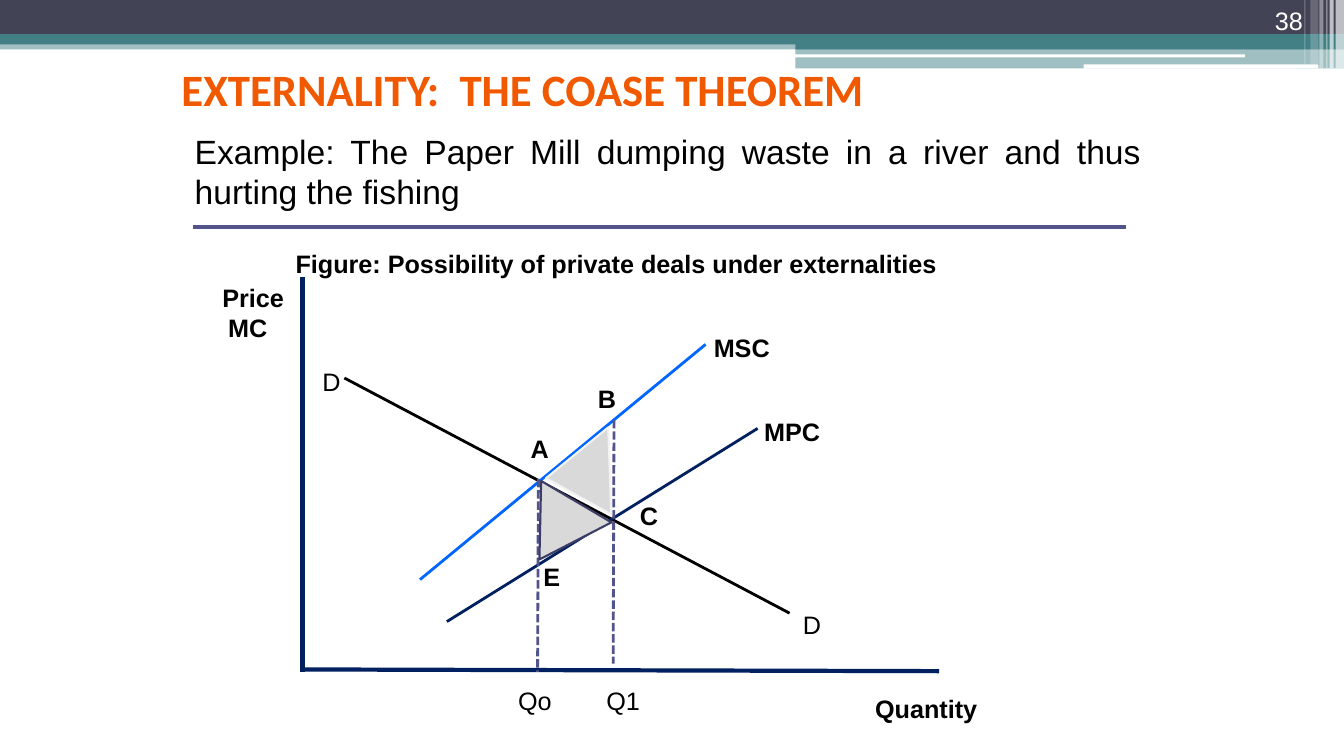
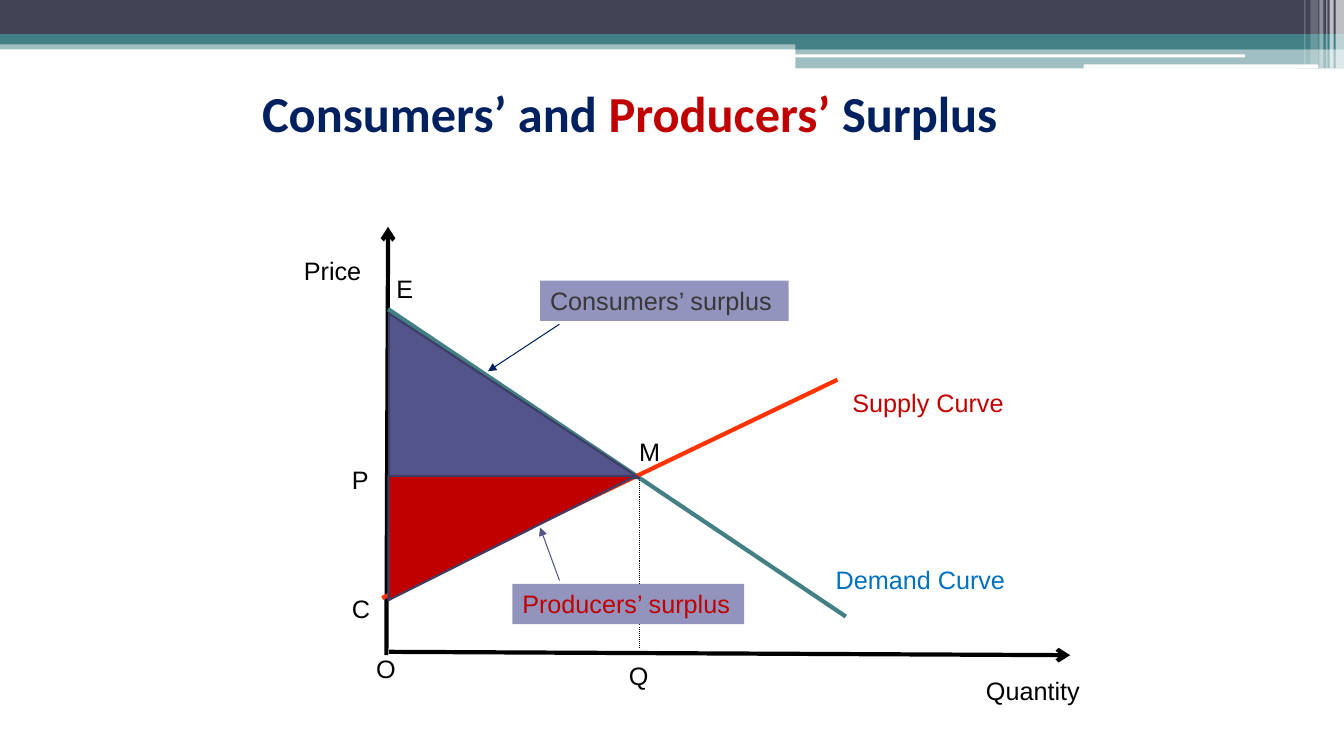
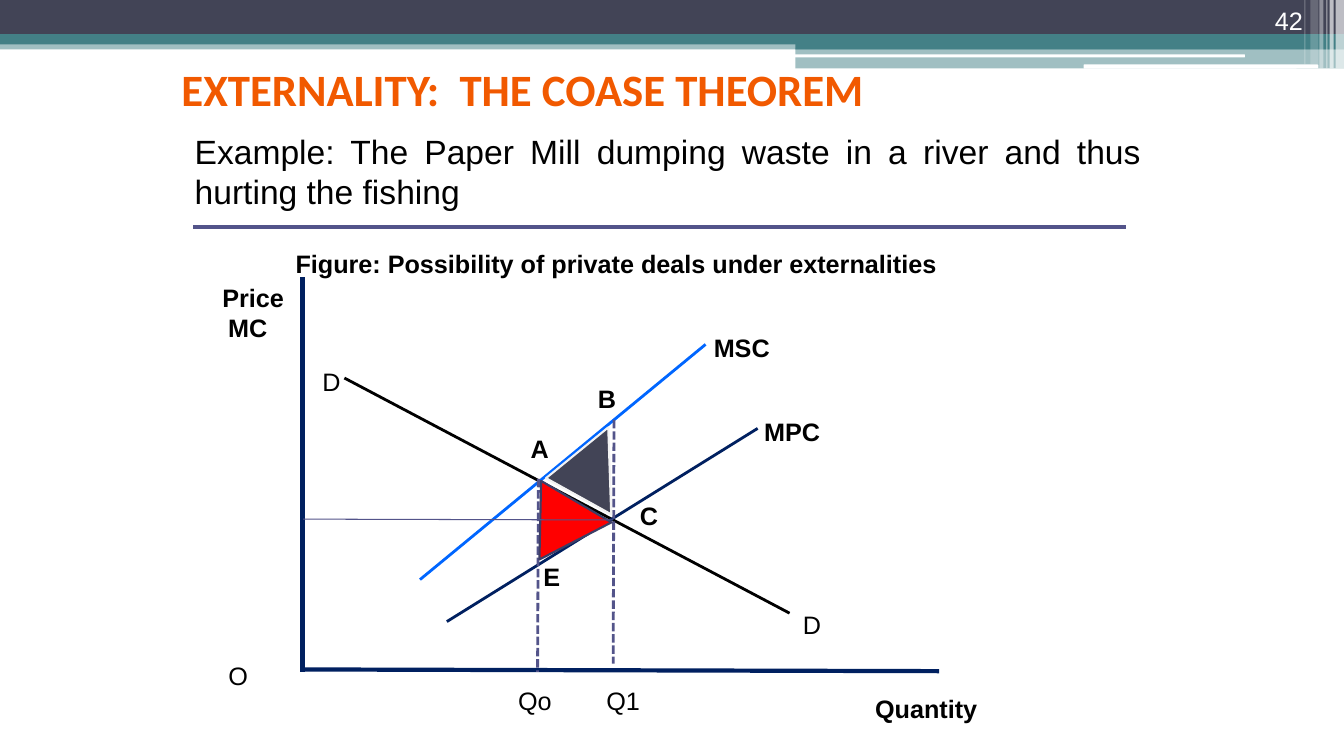
import lxml.etree
import pptx
import pptx.dml.color
import pptx.enum.dml
import pptx.enum.shapes
import pptx.enum.text
import pptx.oxml.ns
import pptx.util

RGBColor = pptx.dml.color.RGBColor
PRESET = pptx.enum.shapes.MSO_SHAPE
ALIGN = pptx.enum.text.PP_ALIGN
ANCHOR = pptx.enum.text.MSO_ANCHOR
DASH = pptx.enum.dml.MSO_LINE
qn = pptx.oxml.ns.qn

# Grid: 160 columns by 90 rows of square cells, twelve to the inch
COLUMNS, ROWS = 160, 90
CELL = pptx.util.Inches(1 / 12)
LABEL_ROWS = 4.8

WHITE = RGBColor(0xFF, 0xFF, 0xFF)
BLACK = RGBColor(0x00, 0x00, 0x00)
SLATE = RGBColor(0x42, 0x44, 0x56)
TEAL = RGBColor(0x43, 0x80, 0x86)
INDIGO = RGBColor(0x53, 0x54, 0x8A)
DARK_INDIGO = RGBColor(0x3D, 0x3E, 0x66)
LILAC = RGBColor(0x93, 0x94, 0xBE)
NAVY = RGBColor(0x00, 0x20, 0x60)
BLUE = RGBColor(0x00, 0x66, 0xFF)
SKY = RGBColor(0x00, 0x70, 0xC0)
ORANGE = RGBColor(0xF1, 0x59, 0x00)
VERMILION = RGBColor(0xFF, 0x33, 0x00)
CRIMSON = RGBColor(0xC0, 0x00, 0x00)
RED = RGBColor(0xFF, 0x00, 0x00)
CHARCOAL = RGBColor(0x38, 0x38, 0x38)
GREY = RGBColor(0xD9, 0xD9, 0xD9)
PALE = RGBColor(0xF2, 0xF2, 0xF2)


def write(slide, text, cells, holder=None, font="Arial", size=18, colour=BLACK,
          bold=False, align=ALIGN.LEFT, anchor=ANCHOR.TOP):
    """Write a string, or (string, colour) pieces, into holder or a new text box."""
    holder = holder or slide.shapes.add_textbox(0, 0, 0, 0)
    holder.left, holder.top, holder.width, holder.height = [int(n * CELL) for n in cells]
    frame = holder.text_frame
    frame.word_wrap = True
    frame.auto_size = pptx.enum.text.MSO_AUTO_SIZE.NONE
    frame.vertical_anchor = anchor
    paragraph = frame.paragraphs[0]
    for words, tint in [(text, colour)] if isinstance(text, str) else text:
        for number, line in enumerate(words.split("\n")):
            if number:
                paragraph = frame.add_paragraph()
            paragraph.alignment = align
            run = paragraph.add_run()
            run.text = line
            run.font.name = font
            run.font.size = pptx.util.Pt(size)
            run.font.bold = bold
            run.font.color.rgb = tint
    return frame


def draw_line(slide, ends, colour, width, dash=None, arrow=None):
    """Draw a straight line between two grid points, with an arrowhead at its end."""
    line = slide.shapes.add_connector(
        pptx.enum.shapes.MSO_CONNECTOR.STRAIGHT, *[int(n * CELL) for n in ends])
    line.line.color.rgb = colour
    line.line.width = pptx.util.Pt(width)
    if dash:
        line.line.dash_style = dash
    properties = line.element.spPr
    if arrow:
        lxml.etree.SubElement(properties.find(qn("a:ln")), qn("a:tailEnd"), type=arrow)
    lxml.etree.SubElement(properties, qn("a:effectLst"))


prs = pptx.Presentation()
prs.slide_width, prs.slide_height = COLUMNS * CELL, ROWS * CELL
title_only = prs.slide_layouts[5]
deals, surplus, gains = [prs.slides.add_slide(title_only) for _ in range(3)]

# Bands and stripes at the top, kept on the slide master
bands = [
    (0, 4.8, 160, 1.08, PRESET.RECTANGLE, TEAL, 50),
    (0, 0, 160, 4.08, PRESET.RECTANGLE, SLATE, 100),
    (0, 4.08, 160, 1.2, PRESET.RECTANGLE, TEAL, 100),
    (94.68, 4.68, 65.32, 1.2, PRESET.RECTANGLE, TEAL, 100),
    (94.68, 5.76, 65.32, 2.4, PRESET.RECTANGLE, TEAL, 50),
    (94.56, 6.48, 53.64, 0.36, PRESET.ROUNDED_RECTANGLE, WHITE, 100),
    (129, 7.68, 27.96, 0.48, PRESET.ROUNDED_RECTANGLE, WHITE, 100),
]
for left, width, height, opacity in [
    (159, 1, 8.16, 65), (158.28, 0.48, 8.16, 65), (157.92, 0.12, 8.16, 60),
    (157.08, 0.48, 8.16, 40), (156, 0.96, 7.68, 20), (155.28, 0.12, 7.68, 30),
]:
    bands.append((left, 0, width, height, PRESET.RECTANGLE, WHITE, opacity))
for number, (*cells, preset, colour, opacity) in enumerate(bands):
    band = deals.shapes.add_shape(preset, *[int(n * CELL) for n in cells])
    band.shadow.inherit = False
    band.fill.solid()
    band.fill.fore_color.rgb = colour
    band.line.fill.background()
    if opacity < 100:
        solid = band.element.spPr.find(".//" + qn("a:srgbClr"))
        lxml.etree.SubElement(solid, qn("a:alpha"), val=str(opacity * 1000))
    band.element.nvSpPr.cNvPr.set("id", str(20 + number))
    prs.slide_master.shapes.element.append(band.element)

# The two Coase theorem slides differ in page number and triangle fills
for slide, page, loss_fill, gain_fill in [
    (deals, "38", GREY, GREY), (gains, "42", SLATE, RED),
]:
    write(slide, page, (143, 0, 13.3, LABEL_ROWS), colour=WHITE,
          align=ALIGN.RIGHT, anchor=ANCHOR.BOTTOM)
    write(slide, "EXTERNALITY:  THE COASE THEOREM", (20.4, 6.5, 117, 8),
          holder=slide.shapes.title, font="Calibri", size=32, colour=ORANGE,
          bold=True, anchor=ANCHOR.MIDDLE)
    write(slide, "Example: The Paper Mill dumping waste in a river and thus "
          "hurting the fishing", (22, 15, 115, 11), size=24, align=ALIGN.JUSTIFY)
    draw_line(slide, (23, 27, 134, 27), INDIGO, 2.5)
    write(slide, "Figure: Possibility of private deals under externalities",
          (34, 29, 93, 5), bold=True)

    # Axes, demand, marginal costs and the two quantities
    for ends, colour, width, dash in [
        ((36, 33, 36, 80), NAVY, 3, None),
        ((36, 79.7, 111.8, 79.9), NAVY, 3, None),
        ((41, 45, 94, 73), BLACK, 2, None),
        ((50, 69, 84, 41), BLUE, 2, None),
        ((53.2, 74, 90.2, 51), NAVY, 2, None),
        ((64.1, 57, 64, 80), INDIGO, 2, DASH.SQUARE_DOT),
        ((73.1, 50, 73, 79), INDIGO, 2, DASH.SQUARE_DOT),
    ]:
        draw_line(slide, ends, colour, width, dash)

    # Triangles ABC and ACE
    for cells, turn, apex, colour, edge in [
        ((66.6, 50.76, 8.88, 8.88), 29, 0.4, loss_fill, PALE),
        ((61.68, 59.16, 9.72, 8.16), 210.5, 0.53, gain_fill, DARK_INDIGO),
    ]:
        area = slide.shapes.add_shape(
            PRESET.ISOSCELES_TRIANGLE, *[int(n * CELL) for n in cells])
        area.adjustments[0] = apex
        area.rotation = turn
        area.shadow.inherit = False
        area.fill.solid()
        area.fill.fore_color.rgb = colour
        area.line.color.rgb = edge
        area.line.width = pptx.util.Pt(1.5)

    # Labels
    axis_title = write(slide, "Price\nMC", (24, 33, 11, 8.5), bold=True, align=ALIGN.CENTER)
    axis_title.paragraphs[0].alignment = ALIGN.RIGHT
    for label, left, top, width, bold in [
        ("Quantity", 103, 82, 22, True),
        ("A", 62, 51, 4, True),
        ("B", 70, 45, 4, True),
        ("C", 75, 59, 4, True),
        ("E", 63.5, 66.2, 4, True),
        ("MSC", 83.8, 39, 12, True),
        ("MPC", 89.8, 49, 12, True),
        ("Qo", 60.5, 81, 7, False),
        ("Q1", 71, 81, 7, False),
        ("D", 94.4, 71.9, 5, False),
        ("D", 37.2, 43, 5, False),
    ]:
        write(slide, label, (left, top, width, LABEL_ROWS), bold=bold)

# Price level and origin, on the last slide only
draw_line(gains, (73, 61.9, 36.1, 61.8), INDIGO, 0.75)
write(gains, "O", (30 - 4, 78, 7, LABEL_ROWS))

# Consumers' and producers' surplus
write(surplus, [("Consumers’ and ", NAVY), ("Producers’ ", CRIMSON), ("Surplus", NAVY)],
      (30, 10, 107, 6.7), holder=surplus.shapes.title, font="Calibri", size=36,
      bold=True, anchor=ANCHOR.MIDDLE)

# Axes, demand, price, quantity and supply
for ends, colour, width, dash, arrow in [
    ((46, 78, 46.2, 27), BLACK, 3, None, "arrow"),
    ((46.3, 77.6, 127.4, 78), BLACK, 3, None, "arrow"),
    ((46.2, 36.8, 100.7, 73.4), TEAL, 3, None, None),
    ((76, 56.9, 46, 57), BLACK, 0.75, None, None),
    ((76.1, 56.9, 76.1, 77.2), BLACK, 0.75, DASH.ROUND_DOT, None),
    ((45.5, 71.2, 99.7, 45.2), VERMILION, 3, None, None),
]:
    draw_line(surplus, ends, colour, width, dash, arrow)

# Surplus areas
for cells, turn, colour in [
    ((46.3, 37.3, 29.8, 19.6), 0, INDIGO),
    ((53.6, 49.3, 14.8, 29.5), 90, CRIMSON),
]:
    area = surplus.shapes.add_shape(PRESET.RIGHT_TRIANGLE, *[int(n * CELL) for n in cells])
    area.rotation = turn
    area.shadow.inherit = False
    area.fill.solid()
    area.fill.fore_color.rgb = colour
    area.line.color.rgb = DARK_INDIGO
    area.line.width = pptx.util.Pt(1.5)

# Labels
for label, left, top, width, colour in [
    ("Quantity", 116.2, 79.8, 33.6, BLACK),
    ("Price", 35, 29.8, 22, BLACK),
    ("Q", 73.7, 78, 6, BLACK),
    ("P", 40.7, 54.7, 4.3, BLACK),
    ("M", 74.9, 51.4, 5.6, BLACK),
    ("E", 46, 32, 4.6, BLACK),
    ("O", 43.6, 77.2, 5.5, BLACK),
    ("C", 40.7, 70, 4, BLACK),
    ("Demand Curve", 98.3, 66.6, 32.3, SKY),
    ("Supply Curve", 100.3, 45.5, 24, CRIMSON),
]:
    write(surplus, label, (left, top, width, LABEL_ROWS), colour=colour)

# Callouts with their arrows
for label, left, top, width, colour, pointer, pointer_colour in [
    ("Consumers’ surplus", 64.3, 33.4, 29.6, CHARCOAL, (66.6, 38.6, 58.1, 44.2), NAVY),
    ("Producers’ surplus", 61, 69.5, 27.6, CRIMSON, (66.6, 69.1, 64.3, 62.8), INDIGO),
]:
    callout = surplus.shapes.add_shape(PRESET.RECTANGLE, 0, 0, 0, 0)
    callout.shadow.inherit = False
    callout.fill.solid()
    callout.fill.fore_color.rgb = LILAC
    callout.line.fill.background()
    write(surplus, label, (left, top, width, LABEL_ROWS), holder=callout, colour=colour)
    draw_line(surplus, pointer, pointer_colour, 0.75, arrow="triangle")

prs.save("out.pptx")
